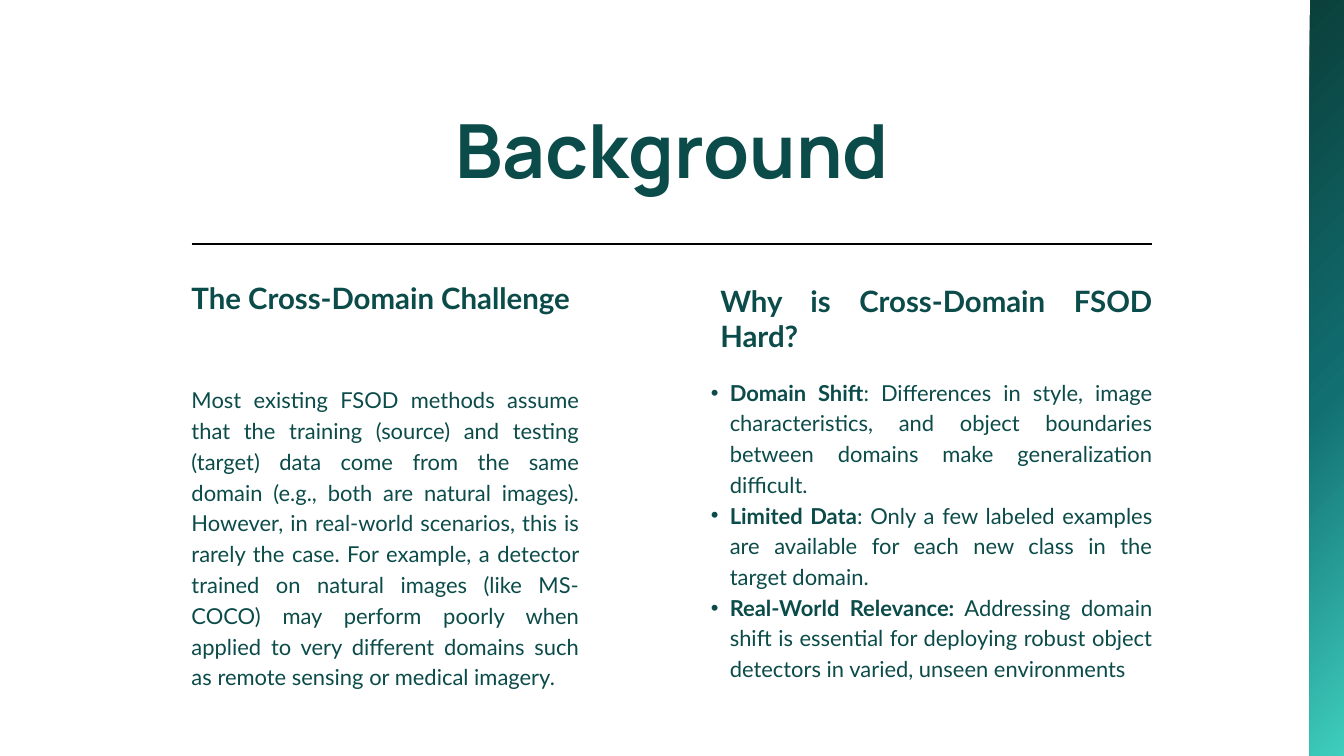
from dataclasses import dataclass

from lxml import etree
from pptx import Presentation
from pptx.dml.color import RGBColor
from pptx.enum.shapes import MSO_CONNECTOR, MSO_SHAPE
from pptx.enum.text import MSO_AUTO_SIZE, PP_ALIGN as Align
from pptx.oxml import parse_xml
from pptx.oxml.ns import nsdecls, qn
from pptx.util import Inches, Pt


@dataclass(frozen=True)
class Theme:
    ink: str = "0B4B49"
    rule: str = "000000"
    band: tuple = ((0, "0A3F3A"), (50, "116E71"), (100, "43D8C6"))
    title_font: str = "Manrope"
    body_font: str = "Lato"
    title_size: float = 80
    heading_size: float = 31.5
    body_size: float = 23.5
    title_leading: float = 96
    heading_leading: float = 37.8
    body_leading: float = 33
    bullet_leading: float = 32.9


THEME = Theme()

CHALLENGE = (
    "Most existing FSOD methods assume that the training (source) and testing (target) "
    "data come from the same domain (e.g., both are natural images). However, in "
    "real-world scenarios, this is rarely the case. For example, a detector trained on "
    "natural images (like MS-COCO) may perform poorly when applied to very different "
    "domains such as remote sensing or medical imagery."
)
REASONS = (
    ("Domain Shift", ": Differences in style, image characteristics, and object "
     "boundaries between domains make generalization difficult."),
    ("Limited Data", ": Only a few labeled examples are available for each new class "
     "in the target domain."),
    ("Real-World Relevance:", " Addressing domain shift is essential for deploying "
     "robust object detectors in varied, unseen environments"),
)


def add_frame(slide, left, top, width, height):
    frame = slide.shapes.add_textbox(*map(Inches, (left, top, width, height))).text_frame
    margins = dict.fromkeys(("margin_left", "margin_top", "margin_right", "margin_bottom"), 0)
    layout = {"word_wrap": True, "auto_size": MSO_AUTO_SIZE.SHAPE_TO_FIT_TEXT, **margins}
    for name, value in layout.items():
        setattr(frame, name, value)
    return frame


def write(paragraph, runs, size, leading, align, family=THEME.body_font):
    paragraph.alignment = align
    paragraph.line_spacing = Pt(leading)
    for words, bold in runs:
        run = paragraph.add_run()
        run.text = words
        for name, value in {"size": Pt(size), "name": family, "bold": bold}.items():
            setattr(run.font, name, value)
        run.font.color.rgb = RGBColor.from_string(THEME.ink)


def add_bullet(paragraph):
    paragraph.level = 1
    properties = paragraph._p.get_or_add_pPr()
    properties.set("marL", str(Inches(0.55)))
    properties.set("indent", str(Inches(-0.28)))
    etree.SubElement(properties, qn("a:buFont")).set("typeface", "Arial")
    etree.SubElement(properties, qn("a:buChar")).set("char", "•")


def add_band(slide, left, top, width, height):
    band = slide.shapes.add_shape(
        MSO_SHAPE.RECTANGLE, *map(Inches, (left, top, width, height)))
    band.shadow.inherit = False
    band.line.fill.background()
    stops = "".join(
        f'<a:gs pos="{percent * 1000}"><a:srgbClr val="{color}"/></a:gs>'
        for percent, color in THEME.band)
    gradient = parse_xml(
        f'<a:gradFill {nsdecls("a")} rotWithShape="1"><a:gsLst>{stops}</a:gsLst>'
        '<a:lin ang="2700000" scaled="0"/></a:gradFill>')
    band._element.spPr.find(qn("a:prstGeom")).addnext(gradient)


def add_header(slide, left, top, width):
    title = add_frame(slide, left - 0.43, top, width + 0.86, 1.43)
    write(title.paragraphs[0], [("Background", True)], THEME.title_size,
          THEME.title_leading, Align.CENTER, THEME.title_font)
    rule_y = Inches(top + 2.09)
    rule = slide.shapes.add_connector(
        MSO_CONNECTOR.STRAIGHT, Inches(left), rule_y, Inches(left + width), rule_y)
    rule.line.color.rgb = RGBColor.from_string(THEME.rule)
    rule.line.width = Pt(3)
    etree.SubElement(rule._element.spPr, qn("a:effectLst"))


def add_heading(slide, words, left, top, width, align):
    heading = add_frame(slide, left, top, width, 1.04)
    write(heading.paragraphs[0], [(words, True)], THEME.heading_size,
          THEME.heading_leading, align)


def add_challenge(slide, left, top, width):
    add_heading(slide, "The Cross-Domain Challenge", left, top, width, Align.LEFT)
    body = add_frame(slide, left, top + 1.52, width, 4.9)
    write(body.paragraphs[0], [(CHALLENGE, False)], THEME.body_size,
          THEME.body_leading, Align.JUSTIFY)


def add_reasons(slide, left, top, width):
    add_heading(slide, "Why is Cross-Domain FSOD Hard?", left, top, width, Align.JUSTIFY)
    body = add_frame(slide, left - 0.41, top + 1.37, width + 0.41, 4.9)
    for index, (label, detail) in enumerate(REASONS):
        reason = body.add_paragraph() if index else body.paragraphs[0]
        add_bullet(reason)
        write(reason, [(label, True), (detail, False)], THEME.body_size,
              THEME.bullet_leading, Align.JUSTIFY)


def main():
    deck = Presentation()
    deck.slide_width, deck.slide_height = Inches(20), Inches(11.25)
    slide = deck.slides.add_slide(deck.slide_layouts[6])
    add_band(slide, 19.49, 0, 1.07, 11.25)
    add_header(slide, 2.85, 1.54, 14.3)
    add_challenge(slide, 2.85, 4.17, 5.77)
    add_reasons(slide, 10.72, 4.21, 6.43)
    deck.save("out.pptx")


if __name__ == "__main__":
    main()
